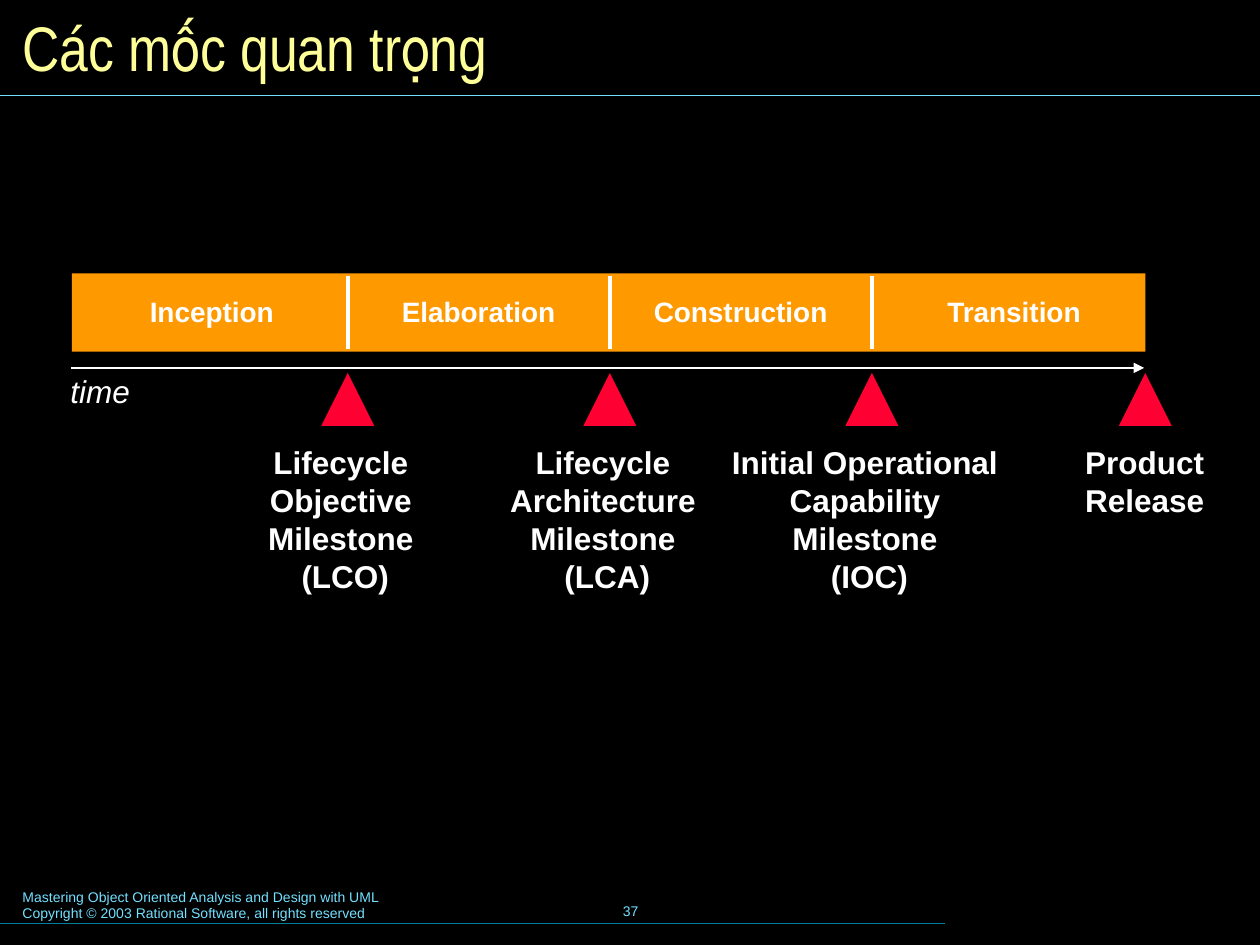
import pptx
import pptx.util
import pptx.dml.color
import pptx.enum.shapes
import pptx.enum.text
import lxml.etree

Inches = pptx.util.Inches
SHAPE = pptx.enum.shapes.MSO_SHAPE
ALIGN = pptx.enum.text.PP_ALIGN
ANCHOR = pptx.enum.text.MSO_ANCHOR
color = pptx.dml.color.RGBColor.from_string

deck = pptx.Presentation()
deck.slide_width, deck.slide_height = Inches(10), Inches(7.5)
slide = deck.slides.add_slide(deck.slide_layouts[6])
slide.background.fill.solid()
slide.background.fill.fore_color.rgb = color("000000")


def add_text(lines, left, top, width, height, size, hue="FFFFFF", align=ALIGN.LEFT,
             anchor=ANCHOR.TOP, face="Arial", bold=False, italic=False, wrap=False):
    frame = slide.shapes.add_textbox(
        Inches(left), Inches(top), Inches(width), Inches(height)).text_frame
    frame.word_wrap = wrap
    frame.vertical_anchor = anchor
    frame.text = "\n".join(lines)
    for line in frame.paragraphs:
        line.alignment = align
        line.font.name = face
        line.font.size = pptx.util.Pt(size)
        line.font.color.rgb = color(hue)
        line.font.bold = bold
        line.font.italic = italic


def add_line(x1, y1, x2, y2, hue, weight):
    line = slide.shapes.add_connector(
        pptx.enum.shapes.MSO_CONNECTOR.STRAIGHT,
        Inches(x1), Inches(y1), Inches(x2), Inches(y2))
    line.line.color.rgb = color(hue)
    line.line.width = pptx.util.Pt(weight)
    lxml.etree.SubElement(line._element.spPr, pptx.oxml.ns.qn("a:effectLst"))
    return line


add_text(["37"], 3.42, 6.98, 3.17, 0.5, 8, "73E1FF", ALIGN.CENTER, ANCHOR.MIDDLE)
add_line(0, 7.33, 7.5, 7.33, "007E9F", 0.75)
add_line(0, 0.76, 10, 0.76, "73E1FF", 0.75)
add_text(["Mastering Object Oriented Analysis and Design with UML",
          "Copyright © 2003 Rational Software, all rights reserved"],
         0.08, 7, 5.1, 0.37, 8, "73E1FF", wrap=True)
add_text(["Các mốc quan trọng"], 0.08, 0.08, 9.84, 0.58, 36, "FFFF99",
         anchor=ANCHOR.MIDDLE, face="Arial Narrow", wrap=True)

phase_bar = slide.shapes.add_shape(
    SHAPE.RECTANGLE, Inches(0.57), Inches(2.17), Inches(8.52), Inches(0.62))
phase_bar.shadow.inherit = False
phase_bar.fill.solid()
phase_bar.fill.fore_color.rgb = color("FF9900")
phase_bar.line.fill.background()

phase_ends = [2.76, 4.84, 6.92, 9.09]
for phase_end in phase_ends[:-1]:
    add_line(phase_end, 2.77, phase_end, 2.19, "FFFFFF", 2)

phases = [("Inception", 1.09, 1.19), ("Elaboration", 3.09, 1.42),
          ("Construction", 5.09, 1.58), ("Transition", 7.42, 1.27)]
for phase, left, width in phases:
    add_text([phase], left, 2.29, width, 0.37, 16, bold=True)

milestones = [
    (["Lifecycle ", "Objective ", "Milestone ", "(LCO)"], 2.03, 1.42),
    (["Lifecycle ", "Architecture ", "Milestone ", "(LCA)"], 3.95, 1.74),
    (["Initial Operational ", "Capability ", "Milestone ", "(IOC)"], 5.71, 2.38),
    (["Product ", "Release"], 8.48, 1.21),
]
for phase_end, (milestone, left, width) in zip(phase_ends, milestones):
    add_text(milestone, left, 3.47, width, 0.1 + 0.3 * len(milestone), 18,
             align=ALIGN.CENTER, bold=True)
    marker = slide.shapes.add_shape(
        SHAPE.ISOSCELES_TRIANGLE, Inches(phase_end - 0.21), Inches(2.96),
        Inches(0.42), Inches(0.42))
    marker.shadow.inherit = False
    marker.fill.solid()
    marker.fill.fore_color.rgb = color("FF0033")
    marker.line.fill.background()

time_axis = add_line(0.56, 2.92, 9.08, 2.92, "FFFFFF", 1)
lxml.etree.SubElement(time_axis.line._get_or_add_ln(),
                      pptx.oxml.ns.qn("a:tailEnd"), type="triangle")
add_text(["time"], 0.46, 2.9, 0.67, 0.4, 18, italic=True)

deck.save("out.pptx")
